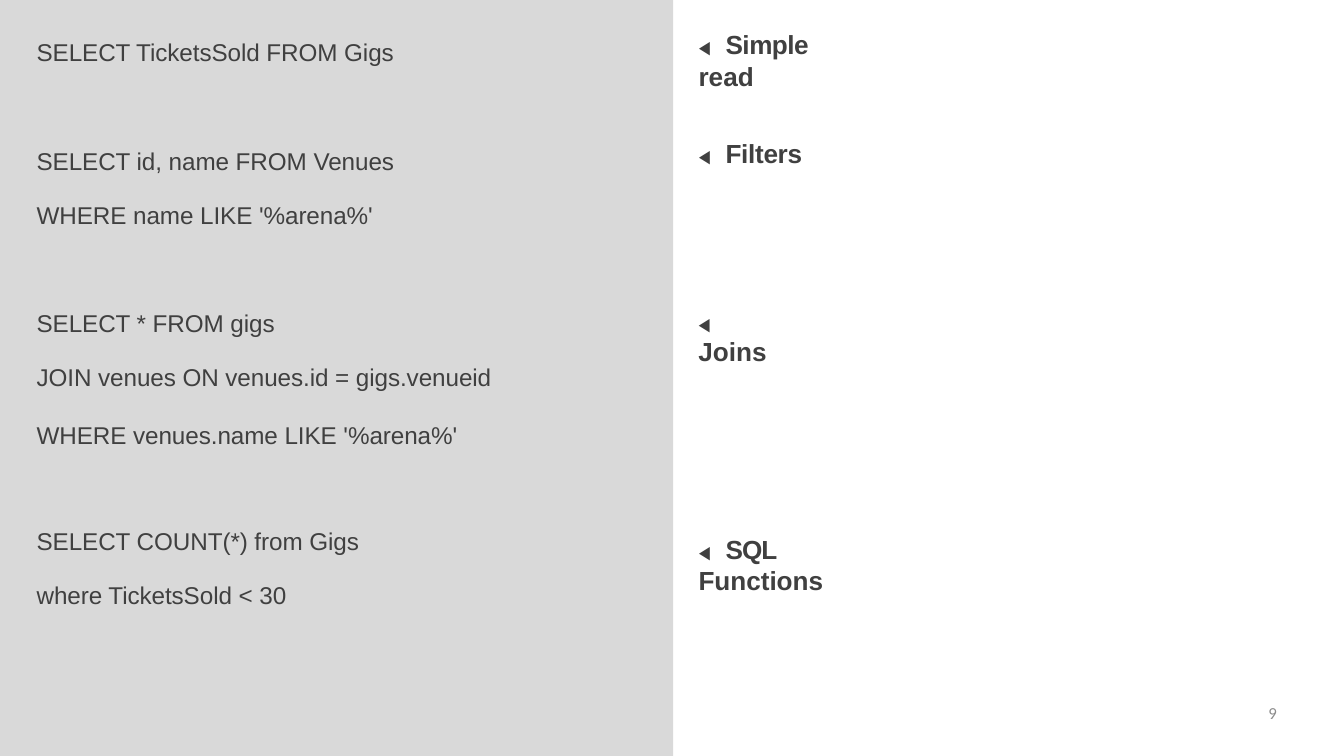
from pptx import Presentation
from pptx.dml.color import RGBColor
from pptx.enum.shapes import MSO_SHAPE as Shape
from pptx.enum.text import PP_ALIGN as Align
from pptx.oxml.ns import qn
from pptx.util import Pt
from lxml.etree import SubElement

COLORS = {"code_panel": "D9D9D9", "topic_panel": "FFFFFF", "text": "404040", "number": "8C8C8C"}
CODE = {"name": "Arial", "size": Pt(26)}
ARROW = {"name": "Courier New", "size": Pt(20)}
TOPIC = {"name": "Arial", "size": Pt(28), "bold": True}
NUMBER = {"name": "Calibri", "size": Pt(18)}

PAGE_WIDTH, PAGE_HEIGHT = 1440, 810
SPLIT = 721.4
LINE_PITCH = 58
TAB_STOP = 29

# Top of each query, then its boxes; a box holds one or more lines
QUERIES = [
    (37.4, [["SELECT TicketsSold FROM Gigs"]]),
    (154.8, [["SELECT id, name FROM Venues"], ["WHERE name LIKE '%arena%'"]]),
    (328.4, [["SELECT * FROM gigs"],
             ["JOIN venues ON venues.id = gigs.venueid", "WHERE venues.name LIKE '%arena%'"]]),
    (561.4, [["SELECT COUNT(*) from Gigs"], ["where TicketsSold < 30"]]),
]

# Top and width of each topic, then its words with their letter spacing in points
TOPICS = [
    (28.8, 184, [("Simple ", -0.5), ("read", 0.1)]),
    (145.4, 115, [("Filters", -0.3)]),
    (333.4, 100.8, [("Joins", 0)]),
    (569.5, 223.9, [("SQL ", -1), ("Functions", 0)]),
]


def add_panel(page, left, width, color):
    panel = page.shapes.add_shape(Shape.RECTANGLE, Pt(left), Pt(0), Pt(width), Pt(PAGE_HEIGHT))
    panel.shadow.inherit = False
    panel.fill.solid()
    panel.fill.fore_color.rgb = RGBColor.from_string(COLORS[color])
    panel.line.fill.background()


def add_text_box(page, left, top, width, height, inset_left=1, inset_top=2):
    """Add an empty wrapping box and return its text frame."""
    box = page.shapes.add_textbox(Pt(left), Pt(top), Pt(width), Pt(height))
    frame = box.text_frame
    insets = {"margin_left": inset_left, "margin_top": inset_top,
              "margin_right": 0, "margin_bottom": 0}
    for name, value in insets.items():
        setattr(frame, name, Pt(value))
    frame.word_wrap = True
    return frame


def add_span(para, text, font, color="text", spacing=0):
    span = para.add_run()
    span.text = text
    for name, value in font.items():
        setattr(span.font, name, value)
    span.font.color.rgb = RGBColor.from_string(COLORS[color])
    if spacing:
        span.font._element.set("spc", str(round(spacing * 100)))


def add_queries(page, left, width):
    add_panel(page, left, width, "code_panel")
    for query_top, boxes in QUERIES:
        for index, lines in enumerate(boxes):
            height = 33 + 61 * (len(lines) - 1)
            frame = add_text_box(page, left + 38.2, query_top + index * LINE_PITCH, 500, height)
            for number, line in enumerate(lines):
                para = frame.add_paragraph() if number else frame.paragraphs[0]
                if number:
                    para.space_before = Pt(31)
                add_span(para, line, CODE, spacing=-0.1)


def add_topics(page, left, width):
    add_panel(page, left, width, "topic_panel")
    for top, topic_width, words in TOPICS:
        para = add_text_box(page, left + 26, top, topic_width, 35.3).paragraphs[0]
        tabs = SubElement(para._p.get_or_add_pPr(), qn("a:tabLst"))
        SubElement(tabs, qn("a:tab"), pos=str(Pt(TAB_STOP)), algn="l")
        add_span(para, "◀\t", ARROW, spacing=-1.9)
        for word, spacing in words:
            add_span(para, word, TOPIC, spacing=spacing)


def add_page_number(page, left, top, width, height):
    para = add_text_box(page, left, top, width, height, 0, 0).paragraphs[0]
    para.alignment = Align.RIGHT
    add_span(para, "9", NUMBER, "number")


def main():
    deck = Presentation()
    deck.slide_width, deck.slide_height = Pt(PAGE_WIDTH), Pt(PAGE_HEIGHT)
    page = deck.slides.add_slide(deck.slide_layouts[6])
    add_queries(page, 0, SPLIT)
    add_topics(page, SPLIT, PAGE_WIDTH - SPLIT)
    add_page_number(page, 1036.8, 753, 331.2, 40.5)
    deck.save("out.pptx")


if __name__ == "__main__":
    main()
